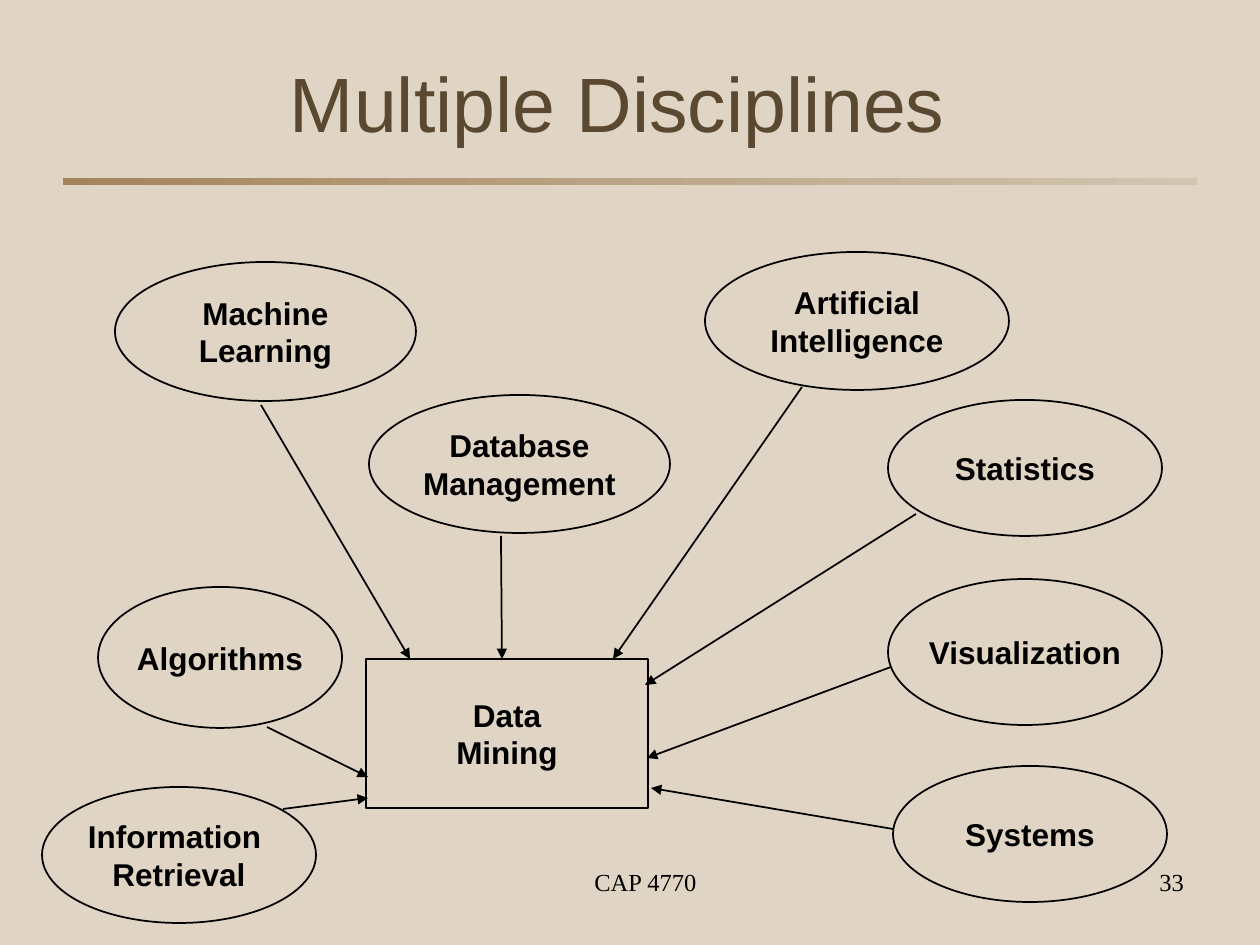
from pptx import Presentation, util as u
from pptx.dml.color import RGBColor
from pptx.enum import shapes, text
from pptx.oxml.ns import qn
from lxml import etree

COLORS = {"paper": "E0D5C5", "ink": "000000", "title": "5A4830",
          "rule_dark": "A3855D", "rule_light": "D3C5B1"}
ALIGN = text.PP_ALIGN
ANCHOR = text.MSO_ANCHOR
OVAL = shapes.MSO_SHAPE.OVAL
RECT = shapes.MSO_SHAPE.RECTANGLE


def px(n):
    return u.Emu(round(n * 914400 / 126))


def rgb(name):
    return RGBColor.from_string(COLORS[name])


def write(tf, content, size=18, font="Arial", color="ink", bold=False,
          align=ALIGN.CENTER, anchor=ANCHOR.MIDDLE, wrap=False, insets=(13, 6, 13, 6)):
    tf.word_wrap = wrap
    tf.auto_size = text.MSO_AUTO_SIZE.NONE
    tf.vertical_anchor = anchor
    tf.margin_left, tf.margin_top, tf.margin_right, tf.margin_bottom = map(px, insets)
    for i, line in enumerate(content.split("\n")):
        p = tf.paragraphs[0] if i == 0 else tf.add_paragraph()
        p.alignment = align
        r = p.add_run()
        r.text = line
        r.font.size = u.Pt(size)
        r.font.name = font
        r.font.bold = bold
        r.font.color.rgb = rgb(color)


class Deck:
    line_width = u.Pt(1)

    def __init__(self):
        self.prs = Presentation()
        self.prs.slide_width, self.prs.slide_height = px(1260), px(945)
        self.s = self.prs.slides.add_slide(self.prs.slide_layouts[5])
        fill = self.s.background.fill
        fill.solid()
        fill.fore_color.rgb = rgb("paper")

    def title(self, content, x, y, w, h):
        sp = self.s.shapes.title
        sp.left, sp.top, sp.width, sp.height = map(px, (x, y, w, h))
        write(sp.text_frame, content, size=44, color="title", align=ALIGN.LEFT,
              anchor=ANCHOR.BOTTOM, wrap=True, insets=(6, 3, 6, 3))

    def rule(self, x, y, w, h):
        sp = self.s.shapes.add_shape(RECT, *map(px, (x, y, w, h)))
        sp.shadow.inherit = False
        sp.line.fill.background()
        sp.fill.gradient()
        sp.fill.gradient_angle = 0
        for stop, name in zip(sp.fill.gradient_stops, ("rule_dark", "rule_light")):
            stop.color.rgb = rgb(name)

    def node(self, content, x, y, w, h, kind=OVAL):
        sp = self.s.shapes.add_shape(kind, *map(px, (x, y, w, h)))
        sp.shadow.inherit = False
        sp.fill.solid()
        sp.fill.fore_color.rgb = rgb("paper")
        sp.line.color.rgb = rgb("ink")
        sp.line.width = self.line_width
        write(sp.text_frame, content, bold=True)

    def arrow(self, x1, y1, x2, y2):
        c = self.s.shapes.add_connector(shapes.MSO_CONNECTOR.STRAIGHT,
                                        *map(px, (x1, y1, x2, y2)))
        c.line.color.rgb = rgb("ink")
        c.line.width = self.line_width
        etree.SubElement(c.line._get_or_add_ln(), qn("a:tailEnd"), type="triangle")
        etree.SubElement(c._element.spPr, qn("a:effectLst"))

    def footer(self, content, x, y, w, h, align):
        sp = self.s.shapes.add_textbox(*map(px, (x, y, w, h)))
        write(sp.text_frame, content, size=14, font="Times New Roman", align=align,
              anchor=ANCHOR.TOP, wrap=True, insets=(43, 6, 13, 6))


DISCIPLINES = [
    ("Machine\nLearning", (115, 262, 301, 139), (261, 405, 410, 659)),
    ("Database\nManagement", (369, 395, 301, 138), (501, 536, 502, 659)),
    ("Artificial\nIntelligence", (705, 252, 304, 138), (802, 387, 613, 659)),
    ("Statistics", (888, 400, 274, 136), (916, 514, 645, 685)),
    ("Visualization", (888, 579, 274, 146), (891, 667, 647, 758)),
    ("Algorithms", (98, 587, 244, 141), (267, 727, 368, 777)),
    ("Systems", (893, 766, 274, 136), (893, 829, 651, 788)),
    ("Information \nRetrieval", (42, 787, 274, 136), (283, 809, 368, 798)),
]

deck = Deck()
deck.rule(63, 178, 1134, 7)
deck.title("Multiple Disciplines", 284, 32, 1071, 119)
deck.node("Data\nMining", 366, 659, 282, 149, RECT)
for name, box, ends in DISCIPLINES:
    deck.node(name, *box)
    deck.arrow(*ends)
deck.footer("CAP 4770", 431, 861, 399, 66, ALIGN.CENTER)
deck.footer("33", 903, 861, 294, 66, ALIGN.RIGHT)
deck.prs.save("out.pptx")
